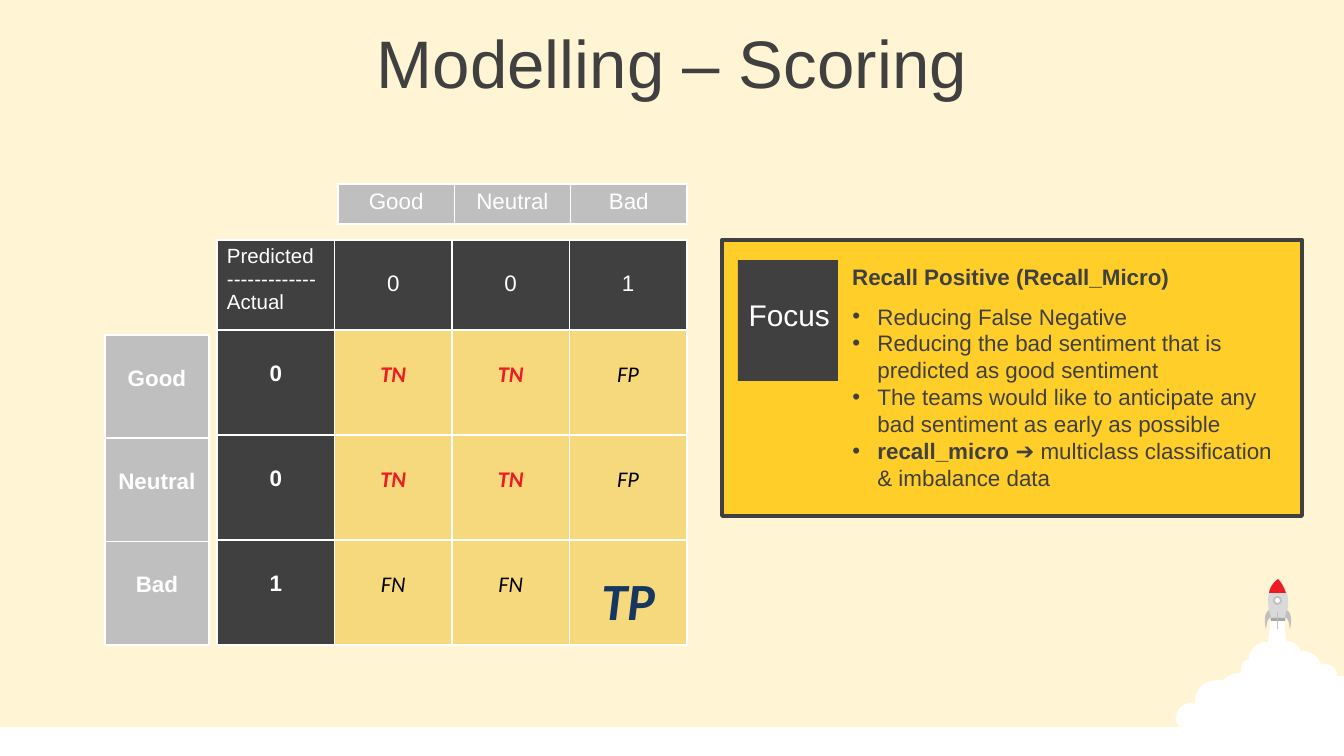
from lxml import etree
from pptx import Presentation
from pptx import util as u
from pptx.dml.color import RGBColor
from pptx.enum import shapes, text
from pptx.oxml import ns

SCALE = 914400 / 134.4
CREAM = RGBColor(0xFF, 0xF5, 0xD4)
WHITE = RGBColor(0xFF, 0xFF, 0xFF)
BLACK = RGBColor(0x00, 0x00, 0x00)
DARK = RGBColor(0x40, 0x40, 0x40)
GREY = RGBColor(0xBF, 0xBF, 0xBF)
HULL = RGBColor(0xD9, 0xD9, 0xD9)
NOZZLE = RGBColor(0xA6, 0xA6, 0xA6)
RED = RGBColor(0xED, 0x1C, 0x24)
NAVY = RGBColor(0x17, 0x37, 0x5E)
SAND = RGBColor(0xF7, 0xD9, 0x7D)
YELLOW = RGBColor(0xFF, 0xCE, 0x29)
LEFT, CENTER, RIGHT = text.PP_ALIGN.LEFT, text.PP_ALIGN.CENTER, text.PP_ALIGN.RIGHT


def px(*lengths):
    return [u.Emu(round(length * SCALE)) for length in lengths]


def write(paragraph, words, color, alignment=LEFT, **format_values):
    run = paragraph.add_run()
    run.text = words
    paragraph.alignment = alignment
    run.font.color.rgb = color
    values = {"name": "Arial", "size": u.Pt(12), "bold": False, "italic": False}
    for name, value in (values | format_values).items():
        setattr(run.font, name, value)


presentation = Presentation()
presentation.slide_width, presentation.slide_height = px(1344, 756)
slide = presentation.slides.add_slide(presentation.slide_layouts[1])
slide.background.fill.solid()
slide.background.fill.fore_color.rgb = CREAM

fin = [(1269, 610), (1271, 617), (1266, 620, 1267, 626, 1266, 629),
       (1265, 625, 1263, 614, 1269, 610)]
mirrored_fin = [[2556 - n if i % 2 == 0 else n for i, n in enumerate(step)] for step in fin]
cloud = [
    (1271, 617), (1284, 617), (1286, 641), (1289, 641), (1293, 642, 1297, 645, 1300, 649),
    (1301, 652), (1302, 651), (1310, 651, 1318, 656, 1321, 664), (1325, 664),
    (1331, 664, 1336, 668, 1337, 675), (1337, 676), (1344, 676), (1344, 753), (1341, 753),
    (1336, 753, 1331, 751, 1327, 749), (1325, 747), (1324, 749),
    (1321, 750, 1318, 751, 1314, 751), (1310, 751, 1308, 749, 1305, 746), (1302, 745),
    (1300, 750, 1296, 751, 1290, 751), (1286, 751, 1282, 750, 1279, 747), (1278, 746),
    (1275, 747), (1270, 751, 1263, 754, 1255, 754), (1241, 754, 1233, 747, 1227, 741),
    (1224, 743, 1219, 745, 1215, 743), (1210, 742, 1202, 740, 1200, 732), (1199, 731),
    (1198, 732, 1195, 732, 1191, 732), (1183, 732, 1176, 726, 1176, 718),
    (1176, 710, 1183, 703, 1191, 703), (1195, 704), (1195, 702),
    (1195, 689, 1204, 680, 1218, 680), (1223, 680), (1225, 679),
    (1229, 675, 1234, 673, 1241, 673), (1241, 669), (1241, 665, 1243, 661, 1247, 660),
    (1249, 660), (1249, 657), (1250, 649, 1258, 642, 1266, 642), (1268, 643),
]
hull = [(1271, 621), (1269, 609, 1263, 591, 1278, 579), (1293, 593, 1288, 610, 1285, 621)]
nose = [(1278, 579), (1282, 583, 1284, 588, 1286, 593), (1269, 593),
        (1270, 587, 1273, 583, 1278, 579)]
RECTANGLE, OVAL = shapes.MSO_SHAPE.RECTANGLE, shapes.MSO_SHAPE.OVAL

for kind, geometry, fill, line, width in [
    (RECTANGLE, (0, 727, 1344, 29), WHITE, None, 0),
    ("outline", cloud, WHITE, None, 0),
    ("outline", hull, HULL, None, 0),
    (RECTANGLE, (1271, 618, 14, 3), NOZZLE, None, 0),
    ("outline", nose, RED, None, 0),
    (OVAL, (1274, 597, 7, 7), WHITE, GREY, 1),
    (RECTANGLE, (1277, 612, 1, 17), GREY, None, 0),
    ("outline", fin, GREY, None, 0),
    ("outline", mirrored_fin, GREY, None, 0),
    (RECTANGLE, (722, 240, 580, 276), YELLOW, DARK, 2),
    (RECTANGLE, (738, 260, 100, 121), DARK, None, 0),
]:
    if kind == "outline":
        points = [geometry[0]]
        for step in geometry[1:]:
            if len(step) == 2:
                points.append(step)
                continue
            x0, y0 = points[-1]
            x1, y1, x2, y2, x3, y3 = step
            for t in (n / 8 for n in range(1, 9)):
                a, b, c, d = (1 - t) ** 3, 3 * t * (1 - t) ** 2, 3 * t * t * (1 - t), t ** 3
                points.append((a * x0 + b * x1 + c * x2 + d * x3,
                               a * y0 + b * y1 + c * y2 + d * y3))
        points = [(x * 100, y * 100) for x, y in points]
        builder = slide.shapes.build_freeform(*points[0], scale=SCALE / 100)
        builder.add_line_segments(points[1:], close=True)
        shape = builder.convert_to_shape()
    else:
        shape = slide.shapes.add_shape(kind, *px(*geometry))
    shape.shadow.inherit = False
    shape.fill.solid()
    shape.fill.fore_color.rgb = fill
    if line is None:
        shape.line.fill.background()
    else:
        shape.line.color.rgb = line
        shape.line.width = u.Pt(width)

score_formats = {
    "TN": (RED, {"bold": True}),
    "FP": (BLACK, {}),
    "FN": (BLACK, {}),
    "TP": (NAVY, {"bold": True, "size": u.Pt(28)}),
}
corner = "Predicted\n-------------\nActual"
matrix = [[corner, "0", "0", "1"], ["0", "TN", "TN", "FP"],
          ["0", "TN", "TN", "FP"], ["1", "FN", "FN", "TP"]]
classes = ["Good", "Neutral", "Bad"]

for left, top, width, heights, rows, heading_rows, fill, top_margin in [
    (217, 240, 470, [90, 105, 105, 105], matrix, 1, DARK, 31),
    (338, 184, 349, [40], [classes], 1, GREY, 5),
    (105, 335, 104, [310 / 3] * 3, [[name] for name in classes], 0, GREY, 31),
]:
    frame = slide.shapes.add_table(len(rows), len(rows[0]), *px(left, top, width, sum(heights)))
    table = frame.table
    table.first_row = table.horz_banding = False
    for column in table.columns:
        column.width = px(width / len(rows[0]))[0]
    for row_index, labels in enumerate(rows):
        table.rows[row_index].height = px(heights[row_index])[0]
        for column_index, label in enumerate(labels):
            cell = table.cell(row_index, column_index)
            margins = (10, 5 if label == corner else top_margin, 10, 5)
            for side, margin in zip(("left", "top", "right", "bottom"), px(*margins)):
                setattr(cell, f"margin_{side}", margin)
            properties = cell._tc.get_or_add_tcPr()
            for side in "LRTB":
                border = etree.SubElement(properties, ns.qn(f"a:ln{side}"), w=str(u.Pt(1)))
                solid = etree.SubElement(border, ns.qn("a:solidFill"))
                etree.SubElement(solid, ns.qn("a:srgbClr"), val=str(WHITE))
            cell.fill.solid()
            cell.fill.fore_color.rgb = SAND if label in score_formats else fill
            if label in score_formats:
                color, values = score_formats[label]
                values = {"name": "Calibri", "italic": True} | values
            elif label == corner:
                color, values = WHITE, {"size": u.Pt(11)}
            else:
                color = WHITE
                values = {"bold": column_index == 0 and row_index >= heading_rows}
            alignment = LEFT if label == corner else CENTER
            for index, words in enumerate(label.split("\n")):
                paragraphs = cell.text_frame
                paragraph = paragraphs.add_paragraph() if index else paragraphs.paragraphs[0]
                write(paragraph, words, color, alignment, **values)

title, body = slide.placeholders
focus = slide.shapes.add_textbox(0, 0, 0, 0)
heading = slide.shapes.add_textbox(0, 0, 0, 0)
slide.shapes._spTree.append(body._element)
for shape, box, anchor in [
    (title, (0, 19, 1344, 85), text.MSO_ANCHOR.MIDDLE),
    (focus, (711, 290, 132, 60), text.MSO_ANCHOR.TOP),
    (heading, (839, 257, 447, 40), text.MSO_ANCHOR.TOP),
    (body, (839, 296, 447, 203), text.MSO_ANCHOR.TOP),
]:
    for name, value in zip(("left", "top", "width", "height"), px(*box)):
        setattr(shape, name, value)
    frame_values = {"word_wrap": True, "auto_size": text.MSO_AUTO_SIZE.NONE,
                    "vertical_anchor": anchor}
    for name, value in frame_values.items():
        setattr(shape.text_frame, name, value)

write(title.text_frame.paragraphs[0], "Modelling – Scoring", DARK, CENTER, size=u.Pt(36))
write(focus.text_frame.paragraphs[0], "Focus", WHITE, RIGHT, size=u.Pt(16))
write(heading.text_frame.paragraphs[0], "Recall Positive (Recall_Micro)", DARK, bold=True)
for index, (strong, words) in enumerate([
    ("", "Reducing False Negative"),
    ("", "Reducing the bad sentiment that is predicted as good sentiment"),
    ("", "The teams would like to anticipate any bad sentiment as early as possible"),
    ("recall_micro ", "➔ multiclass classification & imbalance data"),
]):
    frame = body.text_frame
    paragraph = frame.add_paragraph() if index else frame.paragraphs[0]
    paragraph.space_before = u.Pt(0)
    properties = paragraph._p.get_or_add_pPr()
    indent = px(25)[0]
    properties.set("marL", str(indent))
    properties.set("indent", str(-indent))
    etree.SubElement(properties, ns.qn("a:buFont"), typeface="Arial")
    etree.SubElement(properties, ns.qn("a:buChar"), char="•")
    if strong:
        write(paragraph, strong, DARK, bold=True)
    write(paragraph, words, DARK)

presentation.save("out.pptx")
